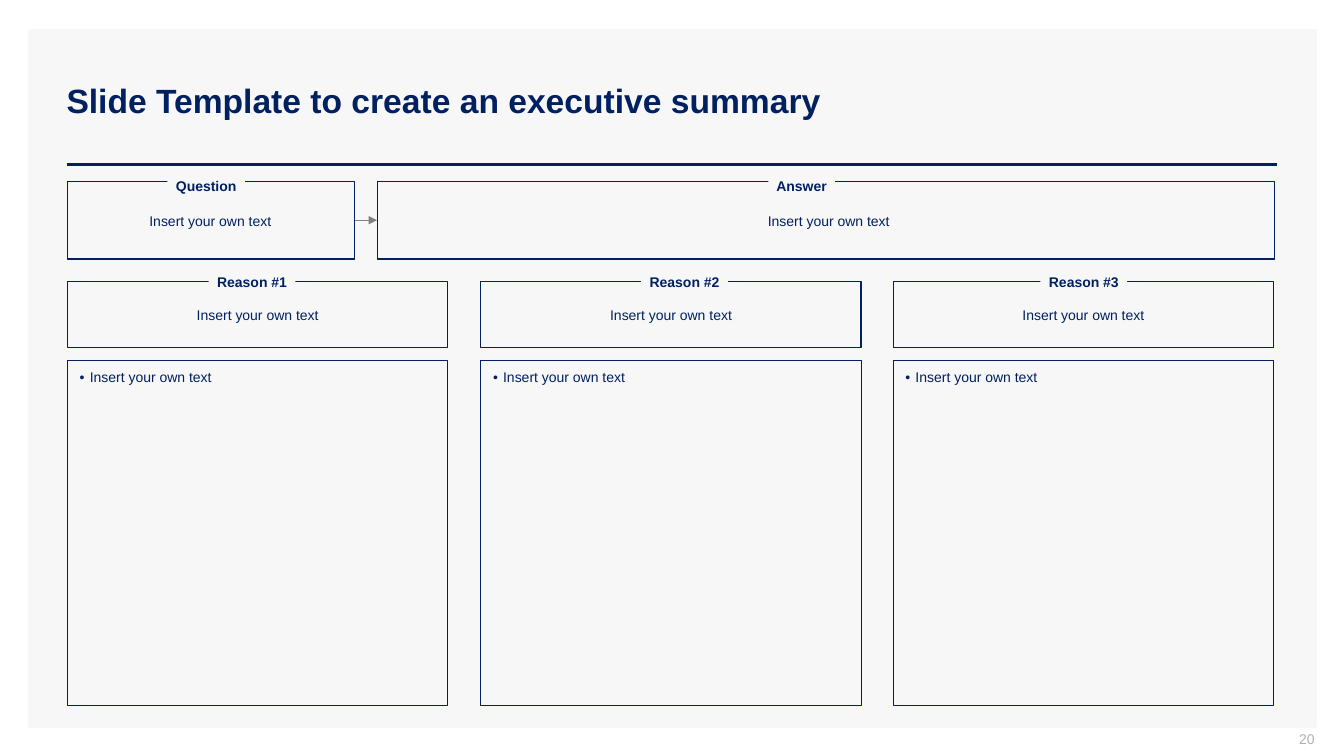
import dataclasses
import typing

import lxml.etree
import pptx
import pptx.dml.color
import pptx.enum.shapes
import pptx.enum.text
import pptx.oxml.ns
import pptx.util

Inches = pptx.util.Inches
Pt = pptx.util.Pt
Align = pptx.enum.text.PP_ALIGN
Anchor = pptx.enum.text.MSO_ANCHOR
AutoSize = pptx.enum.text.MSO_AUTO_SIZE
RECTANGLE = pptx.enum.shapes.MSO_SHAPE.RECTANGLE

NAVY = "002060"
PANEL_GREY = "F7F7F7"
ARROW_GREY = "808080"
NUMBER_GREY = "ADAFBB"
PROMPT = "Insert your own text"
COLUMN_LEFTS = (0.67, 4.77, 8.86)
REASON_LABEL_LEFTS = (2.07, 6.36, 10.32)
COLUMN_WIDTH = 3.77


@dataclasses.dataclass(frozen=True)
class Box:
    left: float
    top: float
    width: float
    height: float


@dataclasses.dataclass(frozen=True)
class TextStyle:
    size: float = 10
    bold: bool = False
    color: str = NAVY
    align: Align = Align.CENTER
    anchor: Anchor = Anchor.MIDDLE
    insets: tuple[float, float, float, float] = (0, 0, 0, 0)
    spacing: float = 1.0
    wrap: bool = True
    auto_size: AutoSize = AutoSize.NONE
    bullet: bool = False


@dataclasses.dataclass(frozen=True)
class LabelledFrame:
    label: str
    frame: Box
    label_left: float
    label_top: float
    label_width: float
    style: TextStyle


TITLE_STYLE = TextStyle(size=24, bold=True, align=Align.LEFT, insets=(0.1, 0.05, 0.1, 0.05))
NUMBER_STYLE = TextStyle(color=NUMBER_GREY, align=Align.RIGHT, insets=(0.1, 0, 0, 0.05))
LIST_STYLE = TextStyle(align=Align.LEFT, anchor=Anchor.TOP,
                       insets=(0.12, 0.08, 0.12, 0.08), bullet=True)
LABEL_STYLE = TextStyle(bold=True, insets=(0.08, 0.02, 0.08, 0.02), spacing=1.06,
                        wrap=False, auto_size=AutoSize.SHAPE_TO_FIT_TEXT)
QUESTION_STYLE = TextStyle(insets=(0.02, 0.02, 0.04, 0.02), spacing=1.1)
ANSWER_STYLE = TextStyle(insets=(0.1, 0.1, 0.04, 0.1), spacing=1.1)

QUESTION = LabelledFrame("Question", Box(0.67, 1.8, 2.85, 0.77), 1.66, 1.73, 0.77, QUESTION_STYLE)
ANSWER = LabelledFrame("Answer", Box(3.74, 1.8, 8.9, 0.77), 7.62, 1.73, 0.66, ANSWER_STYLE)
REASONS = [
    LabelledFrame(f"Reason #{number}", Box(left, 2.79, COLUMN_WIDTH, 0.66),
                  label_left, 2.69, 0.86, TextStyle())
    for number, (left, label_left) in enumerate(zip(COLUMN_LEFTS, REASON_LABEL_LEFTS), 1)
]


def rgb(color: str) -> pptx.dml.color.RGBColor:
    return pptx.dml.color.RGBColor.from_string(color)


def apply(target: typing.Any, values: dict[str, typing.Any]) -> None:
    for name, value in values.items():
        setattr(target, name, value)


def place(shape: typing.Any, box: Box) -> None:
    apply(shape, {name: Inches(value) for name, value in dataclasses.asdict(box).items()})


def add_xml(parent: typing.Any, tag: str, **attributes: str) -> typing.Any:
    return lxml.etree.SubElement(parent, pptx.oxml.ns.qn(tag), attributes)


def add_bullet(paragraph: typing.Any) -> None:
    properties = paragraph._p.get_or_add_pPr()
    apply_indent = {"marL": Inches(0.1), "indent": Inches(-0.1)}
    for name, value in apply_indent.items():
        properties.set(name, str(value))
    add_xml(add_xml(properties, "a:buClr"), "a:srgbClr", val=NAVY)
    add_xml(properties, "a:buFont", typeface="Arial")
    add_xml(properties, "a:buChar", char="•")


def write(shape: typing.Any, text: str, style: TextStyle) -> None:
    left, top, right, bottom = map(Inches, style.insets)
    frame = shape.text_frame
    apply(frame, {
        "margin_left": left, "margin_top": top, "margin_right": right, "margin_bottom": bottom,
        "vertical_anchor": style.anchor, "word_wrap": style.wrap, "auto_size": style.auto_size,
    })
    paragraph = frame.paragraphs[0]
    if style.bullet:
        add_bullet(paragraph)
    apply(paragraph, {"alignment": style.align, "line_spacing": style.spacing,
                      "space_before": Pt(0)})
    run = paragraph.add_run()
    run.text = text
    apply(run.font, {"name": "Arial", "size": Pt(style.size), "bold": style.bold})
    run.font.color.rgb = rgb(style.color)


def outline(shape: typing.Any) -> None:
    shape.fill.background()
    shape.line.color.rgb = rgb(NAVY)
    shape.line.width = Pt(0.75)


def add_rectangle(slide: typing.Any, box: Box, fill: str = "") -> typing.Any:
    shape = slide.shapes.add_shape(RECTANGLE, *map(Inches, dataclasses.astuple(box)))
    shape.shadow.inherit = False
    if fill:
        shape.fill.solid()
        shape.fill.fore_color.rgb = rgb(fill)
        shape.line.fill.background()
    else:
        outline(shape)
    return shape


def add_labelled_frame(slide: typing.Any, item: LabelledFrame) -> typing.Any:
    frame = add_rectangle(slide, item.frame)
    write(frame, PROMPT, item.style)
    label_box = Box(item.label_left, item.label_top, item.label_width, 0.21)
    write(add_rectangle(slide, label_box, PANEL_GREY), item.label, LABEL_STYLE)
    return frame


def add_line(slide: typing.Any, start: tuple[float, float], end: tuple[float, float],
             color: str, width: float) -> typing.Any:
    line = slide.shapes.add_connector(pptx.enum.shapes.MSO_CONNECTOR.STRAIGHT,
                                      *map(Inches, start + end))
    line.line.color.rgb = rgb(color)
    line.line.width = Pt(width)
    add_xml(line._element.spPr, "a:effectLst")
    return line


def main() -> None:
    presentation = pptx.Presentation()
    apply(presentation, {"slide_width": Inches(13.33), "slide_height": Inches(7.5)})
    slide = presentation.slides.add_slide(presentation.slide_layouts.get_by_name("Comparison"))

    panel = add_rectangle(slide, Box(0.28, 0.29, 12.78, 6.93), PANEL_GREY)
    slide.shapes._spTree.insert(2, panel._element)
    add_line(slide, (0.66, 1.63), (12.67, 1.63), NAVY, 2)

    title, *lists, spare = slide.placeholders
    spare._element.getparent().remove(spare._element)
    place(title, Box(0.56, 0.4, 12.11, 1.19))
    write(title, "Slide Template to create an executive summary", TITLE_STYLE)

    for reason_list, left in zip(lists, COLUMN_LEFTS):
        place(reason_list, Box(left, 3.58, COLUMN_WIDTH, 3.42))
        outline(reason_list)
        write(reason_list, PROMPT, LIST_STYLE)

    question, answer, *_ = [add_labelled_frame(slide, item)
                            for item in (QUESTION, ANSWER, *REASONS)]
    arrow = add_line(slide, (3.52, 2.18), (3.74, 2.18), ARROW_GREY, 0.75)
    arrow.begin_connect(question, 3)
    arrow.end_connect(answer, 1)
    add_xml(arrow.line._get_or_add_ln(), "a:tailEnd", type="triangle")

    page_number = slide.shapes.add_textbox(*map(Inches, (10.04, 7.25, 3, 0.21)))
    write(page_number, "20", NUMBER_STYLE)

    presentation.save("out.pptx")


if __name__ == "__main__":
    main()
